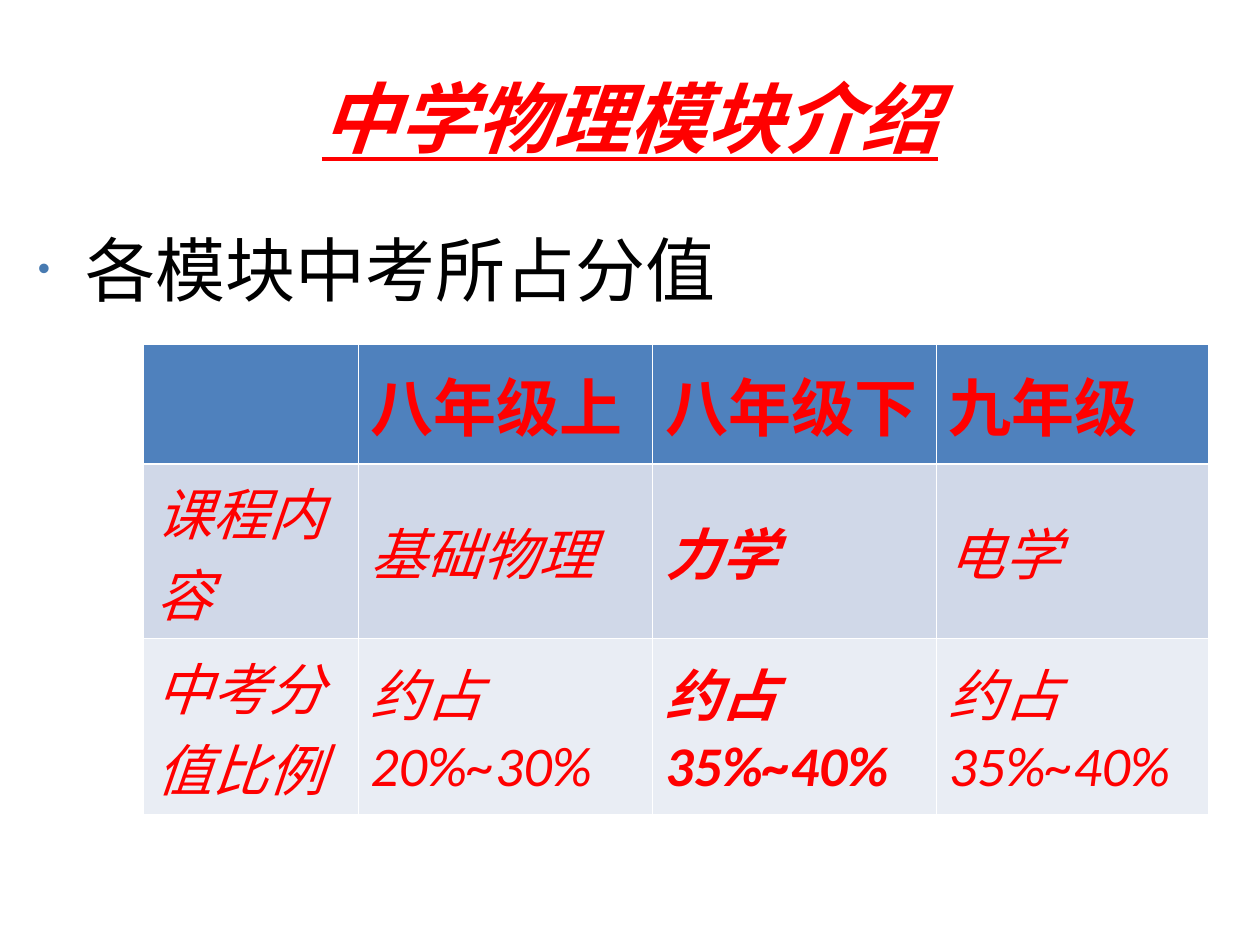
from typing import NamedTuple

from lxml import etree
from pptx import Presentation
from pptx import util as u
from pptx.dml import color
from pptx.enum import text
from pptx.oxml import ns

RED = "FF0000"
WHITE = "FFFFFF"
THIN, THICK = 0.45, 1.47


class TableRow(NamedTuple):
    height: float
    fill: str
    size: int
    space_before: int
    italic: bool
    bold_columns: tuple
    top_border: float
    bottom_border: float
    texts: tuple


COLUMN_WIDTHS = (1.7, 2.34, 2.25, 2.16)
ROWS = (
    TableRow(0.95, "4F81BD", 36, 9, False, (0, 1, 2, 3), THIN, THICK,
             ("", "八年级上", "八年级下", "九年级")),
    TableRow(1.17, "D0D8E8", 32, 8, True, (2,), THICK, THIN,
             ("课程内容", "基础物理", "力学", "电学")),
    TableRow(1.28, "E9EDF4", 32, 8, True, (2,), THIN, THIN,
             ("中考分值比例", "约占20%~30%", "约占35%~40%", "约占35%~40%")),
)


def rgb(value: str) -> color.RGBColor:
    return color.RGBColor.from_string(value)


def add_element(parent, tag: str, **attributes):
    return etree.SubElement(parent, ns.qn(tag), attributes)


def write(paragraph, content: str, fill: str, **font_format) -> None:
    run = paragraph.add_run()
    run.text = content
    run.font.color.rgb = rgb(fill)
    for name, value in font_format.items():
        setattr(run.font, name, value)


def place(shape, left: float, top: float, width: float, height: float) -> None:
    bounds = {"left": left, "top": top, "width": width, "height": height}
    for name, value in bounds.items():
        setattr(shape, name, u.Inches(value))


def add_bullet(paragraph, fill: str) -> None:
    """Give the paragraph a half-size coloured bullet with a hanging indent."""
    properties = paragraph._p.get_or_add_pPr()
    properties.set("marL", str(u.Inches(0.38)))
    properties.set("indent", str(u.Inches(-0.38)))
    bullet_color = add_element(properties, "a:buClr")
    add_element(bullet_color, "a:srgbClr", val=fill)
    add_element(properties, "a:buSzPct", val="50000")
    add_element(properties, "a:buFont", typeface="Arial")
    add_element(properties, "a:buChar", char="•")


def add_borders(cell, top: float, bottom: float) -> None:
    properties = cell._tc.get_or_add_tcPr()
    for side, width in zip("LRTB", (THIN, THIN, top, bottom)):
        line = add_element(properties, f"a:ln{side}", w=str(u.Pt(width)))
        fill = add_element(line, "a:solidFill")
        add_element(fill, "a:srgbClr", val=WHITE)


def fill_cell(cell, row: TableRow, column: int) -> None:
    add_borders(cell, row.top_border, row.bottom_border)
    cell.fill.solid()
    cell.fill.fore_color.rgb = rgb(row.fill)
    cell.vertical_anchor = text.MSO_ANCHOR.MIDDLE
    if row.texts[column]:
        paragraph = cell.text_frame.paragraphs[0]
        paragraph.space_before = u.Pt(row.space_before)
        write(paragraph, row.texts[column], RED, name="Calibri", size=u.Pt(row.size),
              bold=column in row.bold_columns, italic=row.italic)


def add_module_table(slide) -> None:
    frame = slide.shapes.add_table(
        len(ROWS), len(COLUMN_WIDTHS), u.Inches(1.14), u.Inches(2.73),
        u.Inches(sum(COLUMN_WIDTHS)), u.Inches(sum(row.height for row in ROWS)))
    table = frame.table
    for column, width in zip(table.columns, COLUMN_WIDTHS):
        column.width = u.Inches(width)
    for row_index, row in enumerate(ROWS):
        table.rows[row_index].height = u.Inches(row.height)
        for column_index in range(len(COLUMN_WIDTHS)):
            fill_cell(table.cell(row_index, column_index), row, column_index)


def main() -> None:
    presentation = Presentation()
    presentation.slide_width = u.Inches(10)
    presentation.slide_height = u.Inches(7.5)
    slide = presentation.slides.add_slide(presentation.slide_layouts[1])

    title = slide.shapes.title
    place(title, 0.5, 0.3, 9, 1.25)
    title.text_frame.vertical_anchor = text.MSO_ANCHOR.MIDDLE
    heading = title.text_frame.paragraphs[0]
    heading.alignment = text.PP_ALIGN.CENTER
    write(heading, "中学物理模块介绍", RED, name="Lato", size=u.Pt(44),
          bold=True, italic=True, underline=True)

    body = slide.placeholders[1]
    place(body, 0.2, 1.75, 9.3, 5.86)
    body.text_frame.auto_size = text.MSO_AUTO_SIZE.NONE
    item = body.text_frame.paragraphs[0]
    item.space_before = u.Pt(10)
    add_bullet(item, "477AB1")
    write(item, "各模块中考所占分值", "000000", name="Cambria", size=u.Pt(40))

    add_module_table(slide)
    presentation.save("out.pptx")


if __name__ == "__main__":
    main()
